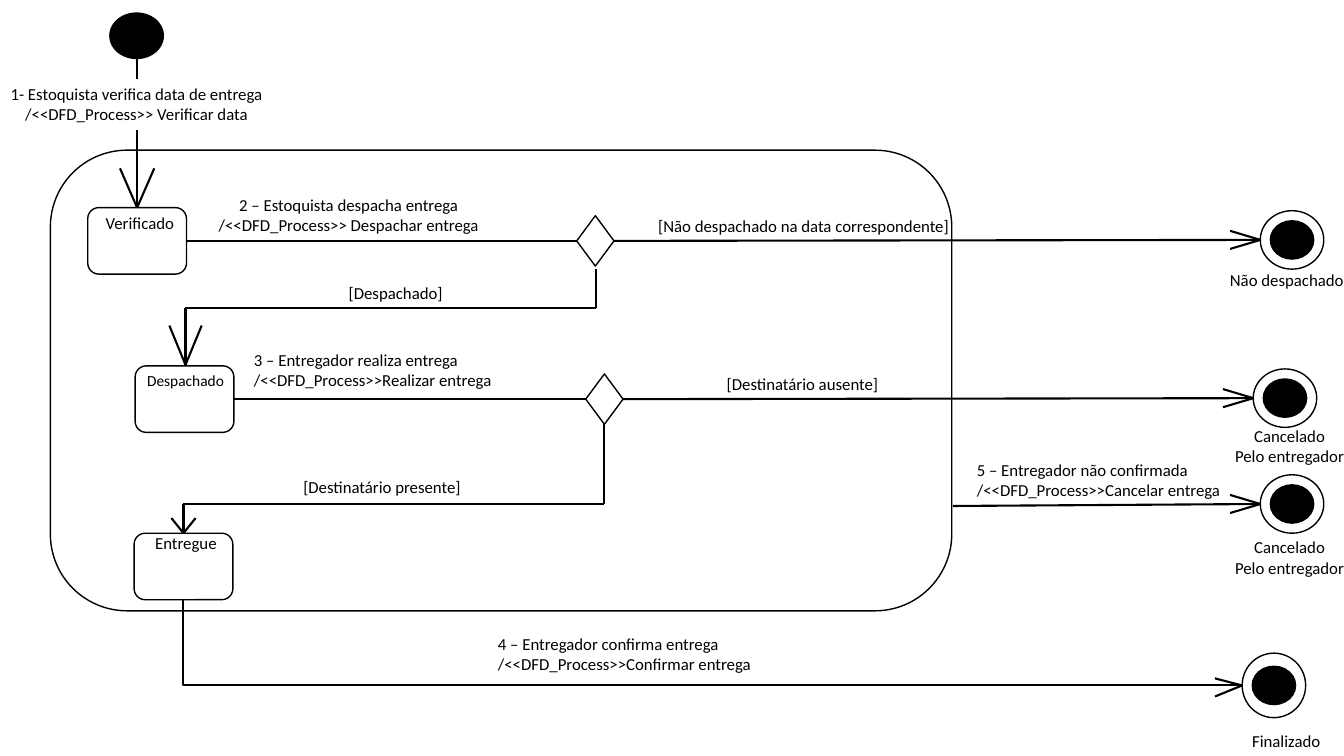
from pptx import Presentation
from pptx.dml.color import RGBColor as Rgb
from pptx.enum.shapes import MSO_CONNECTOR as Link, MSO_SHAPE as Kind
from pptx.enum.text import MSO_AUTO_SIZE as Auto, PP_ALIGN as Align
from pptx.oxml.ns import qn
from pptx.util import Inches, Pt
from lxml.etree import SubElement

BLACK, WHITE = "000000", "FFFFFF"
STATE_W, STATE_H = 0.98, 0.66
RING_W, RING_H = 0.63, 0.58
GEM_W, GEM_H = 0.37, 0.5

deck = Presentation()
deck.slide_width, deck.slide_height = Inches(13.33), Inches(7.5)
slide = deck.slides.add_slide(deck.slide_layouts[6])
shapes = slide.shapes


def color(code):
    """Turn a hex string into a colour."""
    return Rgb.from_string(code)


def shape(kind, box, fill=WHITE):
    """Draw a black-edged preset shape in box."""
    item = shapes.add_shape(kind, *map(Inches, box))
    item.shadow.inherit = False
    item.fill.solid()
    item.fill.fore_color.rgb = color(fill)
    item.line.color.rgb = color(BLACK)
    item.line.width = Pt(1)


def line(start, end, kind=Link.STRAIGHT):
    """Draw a plain black connector from start to end."""
    item = shapes.add_connector(kind, *map(Inches, (*start, *end)))
    item.line.color.rgb = color(BLACK)
    item.line.width = Pt(1.5)
    SubElement(item._element.spPr, qn("a:effectLst"))
    return item


def chain(*points):
    """Join the points one after another."""
    for start, end in zip(points, points[1:]):
        line(start, end)


def head(tip, *wings):
    """Draw an open arrowhead from tip to each wing offset."""
    x, y = tip
    for dx, dy in wings:
        line(tip, (x + dx, y + dy))


def down(tip, dx, dy):
    """Draw an arrowhead that points down."""
    head(tip, (-dx, -dy), (dx, -dy))


def right(tip):
    """Draw an arrowhead that points right."""
    head(tip, (-0.3, -0.09), (-0.3, 0.09))


def label(box, text, align=Align.LEFT, size=12, wrap=True):
    """Write text in box, one paragraph per line."""
    item = shapes.add_textbox(*map(Inches, box))
    frame = item.text_frame
    frame.text = text
    frame.word_wrap = wrap
    frame.auto_size = Auto.SHAPE_TO_FIT_TEXT
    for para in frame.paragraphs:
        para.alignment = align
        for run in para.runs:
            run.font.name = "Calibri"
            run.font.size = Pt(size)
            run.font.color.rgb = color(BLACK)


def state(x, y, name, dx, dy=0, width=0.99, size=12):
    """Draw a state with its name shifted by dx, dy."""
    shape(Kind.ROUNDED_RECTANGLE, (x, y, STATE_W, STATE_H))
    label((x + dx, y + dy, width, 0.3), name, size=size)


def final(x, y, height=RING_H):
    """Draw a final state: a ring around a dot."""
    shape(Kind.OVAL, (x, y, RING_W, height))
    dot_w, dot_h = 0.43, 0.38
    shape(Kind.OVAL, (x + (RING_W - dot_w) / 2, y + (height - dot_h) / 2,
                      dot_w, dot_h), BLACK)


def initial(x, y):
    """Draw the initial state and its arrow into the first state."""
    shape(Kind.OVAL, (x - 0.27, y, 0.53, 0.45), BLACK)
    line((x, y + 0.45), (x, y + 0.65))
    line((x, y + 1.16), (x, y + 1.93))
    down((x, y + 1.93), 0.17, 0.39)
    label((x - 1.37, y + 0.65, 2.73, 0.5),
          "1- Estoquista verifica data de entrega\n"
          "/<<DFD_Process>> Verificar data", Align.CENTER, wrap=False)


def row(x, y, gem, end):
    """Run a flow from the state at x, y through a choice to a final state."""
    mid = y + STATE_H / 2
    line((x + STATE_W, mid), (gem, mid))
    shape(Kind.DIAMOND, (gem, y + 0.08, GEM_W, GEM_H))
    line((gem + GEM_W, mid), (end, mid - 0.01))
    right((end, mid - 0.01))
    final(end, y + 0.03)


def drop(x, top, bend, tip, wing):
    """Lead a choice down, left and into the next state."""
    chain((x, top), (x, bend), (tip[0], bend), tip)
    down(tip, *wing)


def cancel(x, y, end):
    """Draw the exit from the composite state."""
    line((x, y + 0.02), (end, y))
    right((end, y))
    final(end, y - 0.29)
    label((x + 0.14, y - 0.49, 2.64, 0.5),
          "5 – Entregador não confirmada\n/<<DFD_Process>>Cancelar entrega",
          wrap=False)


def finish(x, y, end, floor):
    """Draw the last flow, down from x, y and right to the end."""
    elbow = line((end, floor), (x, y), Link.ELBOW)
    elbow._element.spPr.find(qn("a:prstGeom")).set("prst", "bentConnector2")
    head((end, floor), (-0.27, -0.07), (-0.27, 0.11))
    final(end, floor - 0.32, 0.64)
    label((end, floor + 0.4, 1.19, 0.3), "Finalizado")
    label((x + 3.02, floor - 0.56, 2.74, 0.5),
          "4 – Entregador confirma entrega\n/<<DFD_Process>>Confirmar entrega",
          wrap=False)


shape(Kind.ROUNDED_RECTANGLE, (0.5, 1.49, 8.94, 4.57))
initial(1.36, 0.13)

state(0.87, 2.06, "Verificado", 0.08, width=0.9)
row(0.87, 2.06, 5.72, 12.5)
label((1.88, 1.88, 3.16, 0.5), "2 – Estoquista despacha entrega\n"
      "/<<DFD_Process>> Despachar entrega", Align.CENTER)
label((6.43, 2.09, 3.27, 0.3), "[Não despachado na data correspondente]")
label((12.1, 2.63, 1.38, 0.3), "Não despachado")
drop(5.91, 2.67, 3.06, (1.84, 3.62), (0.16, 0.39))
label((3.36, 2.76, 1.83, 0.3), "[Despachado]")

state(1.34, 3.63, "Despachado", 0.02, size=11)
row(1.34, 3.63, 5.81, 12.43)
label((2.42, 3.42, 2.59, 0.5), "3 – Entregador realiza entrega\n"
      "/<<DFD_Process>>Realizar entrega", wrap=False)
label((7.11, 3.66, 1.93, 0.3), "[Destinatário ausente]")
drop(5.99, 4.21, 5, (1.82, 5.29), (0.12, 0.15))
label((2.91, 4.68, 1.93, 0.3), "[Destinatário presente]")

state(1.33, 5.29, "Entregue", 0.11, -0.05, 1.14)
cancel(9.45, 5, 12.5)
for top in (4.17, 5.28):
    label((12.1, top, 1.38, 0.5), "Cancelado\nPelo entregador", Align.CENTER)
finish(1.82, 5.95, 12.32, 6.8)

deck.save("out.pptx")
